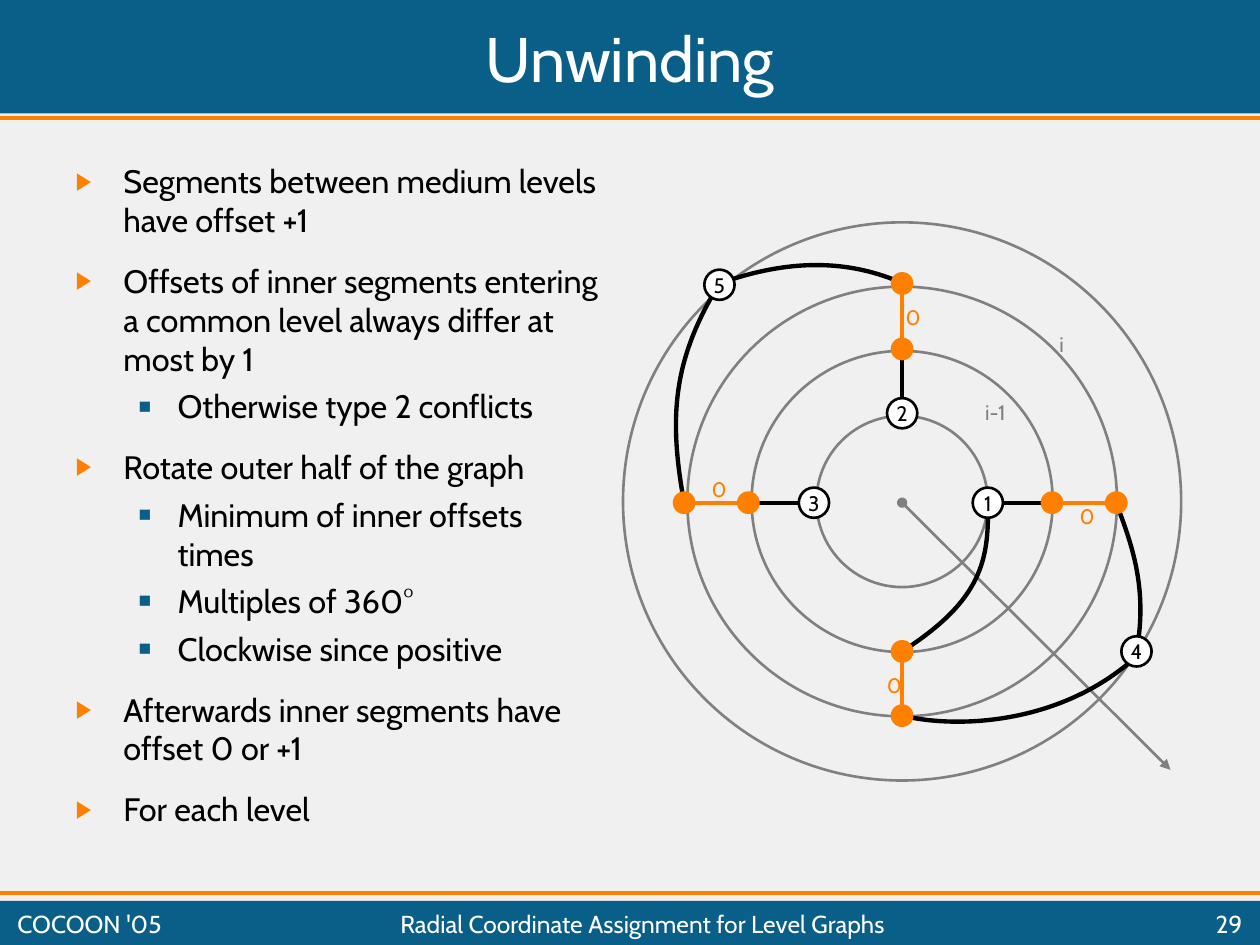
from lxml.etree import SubElement
from pptx import Presentation
from pptx.dml.color import RGBColor
from pptx.enum.shapes import MSO_CONNECTOR, MSO_SHAPE
from pptx.enum.text import MSO_ANCHOR as Anchor, MSO_AUTO_SIZE as AutoSize, PP_ALIGN as Align
from pptx.oxml.ns import qn
from pptx.util import Inches, Pt

FONT = "Cabin"
BLUE, ORANGE, GRAY = "0A5F89", "FF7F00", "808080"
BLACK, WHITE, PAPER = "000000", "FFFFFF", "F0F0F0"

CENTER_X, CENTER_Y = 7.16, 3.99
RING_DIAMETERS = [2.39, 4.43, 1.36, 3.41]

# Vertices numbered on the slide
NODES = {"3": (6.46, CENTER_Y), "2": (CENTER_X, 3.28), "1": (7.84, CENTER_Y),
         "4": (9.02, 5.17), "5": (5.71, 2.26)}

# Inner segments: inner end, outer end, position of the offset label
SEGMENTS = [
    ((5.94, CENTER_Y), (5.43, CENTER_Y), (5.55, 3.73)),
    ((8.35, CENTER_Y), (8.86, CENTER_Y), (8.47, 3.95)),
    ((CENTER_X, 2.77), (CENTER_X, 2.25), (7.09, 2.37)),
    ((CENTER_X, 5.17), (CENTER_X, 5.68), (6.94, 5.29)),
]
SPOKES = [("3", SEGMENTS[0][0]), ("1", SEGMENTS[1][0]), ("2", SEGMENTS[2][0])]

# Start, two control points, end
CURVES = [
    [(7.84, 3.99), (7.85, 4.44), (7.8, 4.76), (7.16, 5.17)],
    [(9.02, 5.17), (9.12, 4.64), (8.96, 4.27), (8.86, 3.99)],
    [(9.02, 5.21), (8.44, 5.74), (7.62, 5.79), (7.16, 5.68)],
    [(7.17, 2.25), (6.76, 2.07), (6.3, 2.04), (5.71, 2.25)],
    [(5.43, 3.99), (5.3, 3.29), (5.35, 2.84), (5.71, 2.25)],
]

BULLETS = [
    (0, "Segments between medium levels have offset +1"),
    (0, "Offsets of inner segments entering a common level always differ at most by 1"),
    (1, "Otherwise type 2 conflicts"),
    (0, "Rotate outer half of the graph"),
    (1, "Minimum of inner offsets times"),
    (1, "Multiples of 360°"),
    (1, "Clockwise since positive"),
    (0, "Afterwards inner segments have offset 0 or +1"),
    (0, "For each level"),
]
# Per level: left margin, hanging indent, space before, sign, colour, sign size in percent
BULLET_STYLES = [(0.38, 0.38, 12.5, "▶", ORANGE, 75), (0.81, 0.31, 5, "■", BLUE, 65)]


def rgb(color):
    return RGBColor.from_string(color)


def write_text(para, text, size=12, color=BLACK, align=Align.LEFT):
    para.alignment = align
    span = para.add_run()
    span.text = text
    span.font.name = FONT
    span.font.size = Pt(size)
    span.font.color.rgb = rgb(color)


def set_frame(shape, anchor=Anchor.TOP, wrap=True, auto_size=AutoSize.NONE):
    frame = shape.text_frame
    frame.auto_size = auto_size
    frame.word_wrap = wrap
    frame.vertical_anchor = anchor
    return frame


def place(shape, left, top, width, height):
    shape.left, shape.top = Inches(left), Inches(top)
    shape.width, shape.height = Inches(width), Inches(height)


def add_shape(page, kind, left, top, width, height, fill=None, line=None):
    shape = page.shapes.add_shape(kind, Inches(left), Inches(top), Inches(width), Inches(height))
    shape.shadow.inherit = False
    if fill:
        shape.fill.solid()
        shape.fill.fore_color.rgb = rgb(fill)
    else:
        shape.fill.background()
    if line:
        shape.line.color.rgb = rgb(line)
        shape.line.width = Pt(1.5)
    else:
        shape.line.fill.background()
    return shape


def add_circle(page, center, diameter, fill=None, line=None):
    left, top = (value - diameter / 2 for value in center)
    return add_shape(page, MSO_SHAPE.OVAL, left, top, diameter, diameter, fill, line)


def add_line(page, start, end, color, width=2.5):
    ends = [Inches(value) for value in (*start, *end)]
    line = page.shapes.add_connector(MSO_CONNECTOR.STRAIGHT, *ends)
    line.line.color.rgb = rgb(color)
    line.line.width = Pt(width)
    SubElement(line.element.spPr, qn("a:effectLst"))
    return line


def add_curve(page, points):
    """Draw a cubic curve from its start, two control points and end."""
    corners = [(Inches(x), Inches(y)) for x, y in points]
    builder = page.shapes.build_freeform(*corners[0])
    builder.add_line_segments(corners[1:], close=False)
    shape = builder.convert_to_shape()
    shape.shadow.inherit = False
    shape.fill.background()
    shape.line.color.rgb = rgb(BLACK)
    shape.line.width = Pt(2.5)
    outline = shape.element.find(".//" + qn("a:path"))
    segments = outline.findall(qn("a:lnTo"))
    cubic = SubElement(outline, qn("a:cubicBezTo"))
    for segment in segments:
        cubic.append(segment[0])
        outline.remove(segment)


def add_label(page, text, left, top, width, height=0.3, anchor=Anchor.TOP, wrap=True,
              auto_size=AutoSize.SHAPE_TO_FIT_TEXT, **text_format):
    box = page.shapes.add_textbox(Inches(left), Inches(top), Inches(width), Inches(height))
    frame = set_frame(box, anchor, wrap, auto_size)
    write_text(frame.paragraphs[0], text, **text_format)


def add_bands(page):
    for top, height in ((0, 0.9), (7.15, 0.35)):
        add_shape(page, MSO_SHAPE.RECTANGLE, 0, top, 10, height, fill=BLUE)
    for y in (0.94, 7.09):
        add_line(page, (0, y), (10, y), ORANGE, 2.25)


def add_title(page):
    title = page.shapes.title
    page.shapes.element.append(title.element)  # in front of the header band
    place(title, 0.04, 0.04, 9.92, 0.83)
    frame = set_frame(title, Anchor.MIDDLE)
    write_text(frame.paragraphs[0], "Unwinding", size=36, color=WHITE, align=Align.CENTER)


def set_bullet(para, level, is_first):
    margin, hanging, space, sign, color, percent = BULLET_STYLES[level]
    para.level = level
    para.space_before = Pt(0 if is_first else space)
    props = para._p.get_or_add_pPr()
    props.set("marL", str(Inches(margin)))
    props.set("indent", str(-Inches(hanging)))
    SubElement(SubElement(props, qn("a:buClr")), qn("a:srgbClr"), val=color)
    SubElement(props, qn("a:buSzPct"), val=str(percent * 1000))
    SubElement(props, qn("a:buChar"), char=sign)


def add_body(page):
    body = page.placeholders[1]
    place(body, 0.5, 1.23, 4.35, 5.79)
    frame = set_frame(body)
    for index, (level, text) in enumerate(BULLETS):
        para = frame.add_paragraph() if index else frame.paragraphs[0]
        set_bullet(para, level, index == 0)
        write_text(para, text, size=18.5)


def add_level_rings(page):
    for diameter in RING_DIAMETERS:
        add_circle(page, (7.16, 3.98), diameter, line=GRAY)
    ray = add_line(page, (CENTER_X, CENTER_Y), (9.29, 6.11), GRAY, 1.5)
    outline = ray.line._get_or_add_ln()
    SubElement(outline, qn("a:headEnd"), type="oval")
    SubElement(outline, qn("a:tailEnd"), type="triangle")


def add_graph(page):
    for inner, outer, _ in SEGMENTS:
        add_line(page, inner, outer, ORANGE)
    for name, inner in SPOKES:
        add_line(page, NODES[name], inner, BLACK)
    for points in CURVES:
        add_curve(page, points)
    for name, center in NODES.items():
        node = add_circle(page, center, 0.24, fill=WHITE, line=BLACK)
        frame = set_frame(node, Anchor.MIDDLE, wrap=False)
        write_text(frame.paragraphs[0], name, align=Align.CENTER)
    add_label(page, "i-1", 7.72, 3.12, 0.39, wrap=False, color=GRAY)
    add_label(page, "i", 8.31, 2.58, 0.24, wrap=False, color=GRAY)
    for inner, outer, (left, top) in SEGMENTS:
        for center in (inner, outer):
            add_circle(page, center, 0.16, fill=ORANGE, line=ORANGE)
        add_label(page, "0", left, top, 0.27, color=ORANGE)


def add_footer(page):
    for text, left, width, align in (
            ("Radial Coordinate Assignment for Level Graphs", 1.5, 7.2, Align.CENTER),
            ("29", 8.78, 1.18, Align.RIGHT),
            ("COCOON '05", 0.04, 1.44, Align.LEFT)):
        add_label(page, text, left, 7.19, width, 0.28, anchor=Anchor.MIDDLE,
                  auto_size=AutoSize.NONE, size=14, color=WHITE, align=align)


def main():
    deck = Presentation()
    deck.slide_width, deck.slide_height = Inches(10), Inches(7.5)
    page = deck.slides.add_slide(deck.slide_layouts[1])
    page.background.fill.solid()
    page.background.fill.fore_color.rgb = rgb(PAPER)
    add_bands(page)
    add_level_rings(page)
    add_title(page)
    add_body(page)
    add_graph(page)
    add_footer(page)
    deck.save("out.pptx")


if __name__ == "__main__":
    main()
